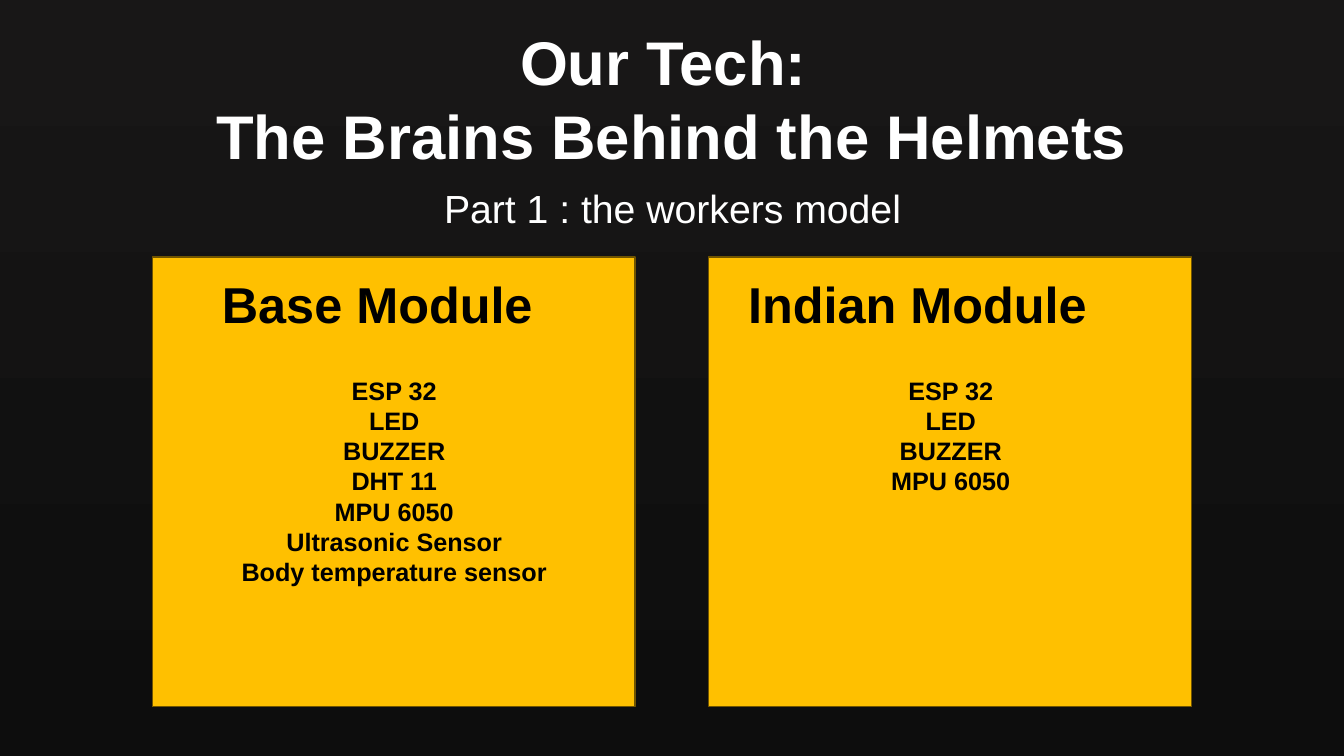
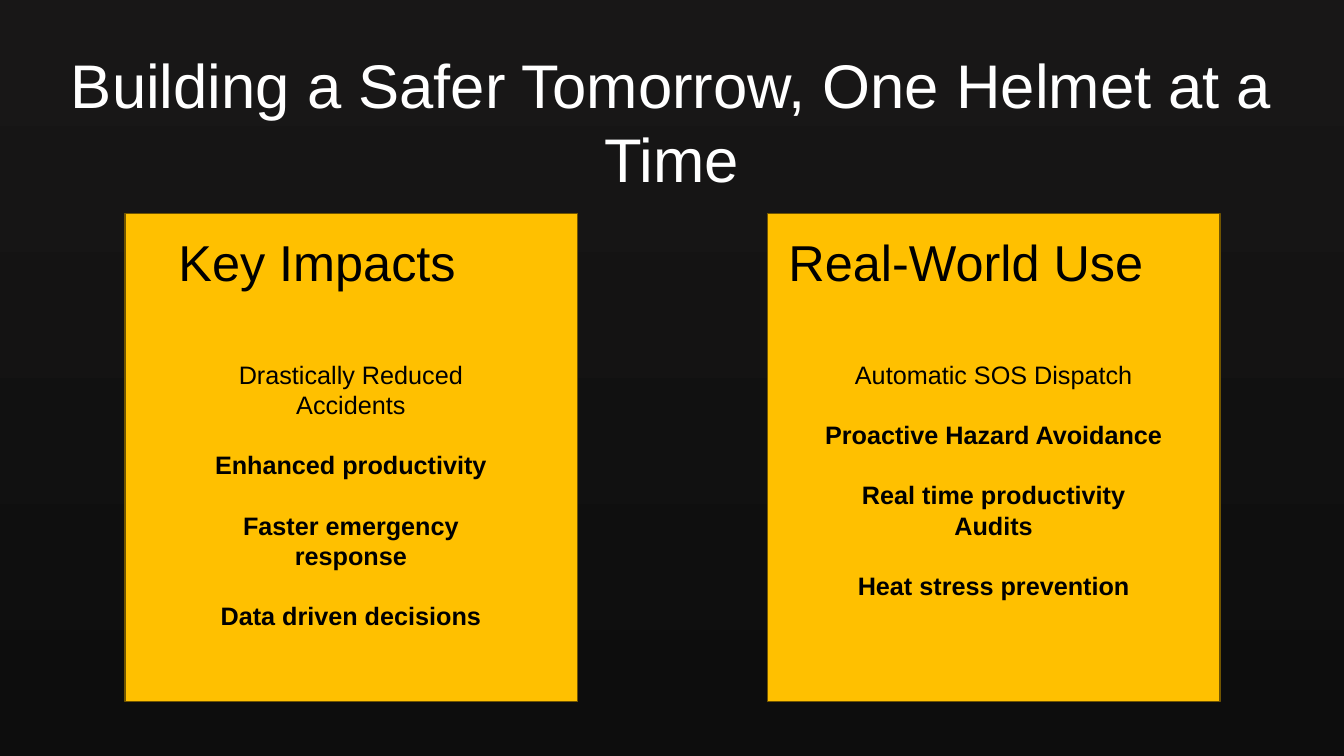
"""Build two helmet project slides with paired yellow cards."""
from dataclasses import dataclass
from typing import Any, Optional

from lxml.etree import SubElement
from pptx import Presentation
from pptx.dml.color import RGBColor
from pptx.enum.shapes import MSO_SHAPE
from pptx.enum.text import MSO_ANCHOR, MSO_AUTO_SIZE, PP_ALIGN
from pptx.oxml.ns import qn
from pptx.util import Pt

RECT = MSO_SHAPE.RECTANGLE
TOP = MSO_ANCHOR.TOP
FIXED = MSO_AUTO_SIZE.NONE
LEFT, CENTER = PP_ALIGN.LEFT, PP_ALIGN.CENTER
SCALE = 9144
WIDTH, HEIGHT = 1333, 750
PAIR = 4
FONT = "Arial"
COLORS = {
    "top": "181717",
    "base": "0D0D0D",
    "card": "FFC000",
    "edge": "705400",
    "light": "FFFFFF",
    "dark": "000000",
}


@dataclass(frozen=True)
class Box:
    """A place on the slide in px."""
    left: int
    top: int
    width: int
    height: int


@dataclass(frozen=True)
class Style:
    """The look of a block of text."""
    size: int
    color: str
    align: Any = CENTER
    gap: float = 0


@dataclass(frozen=True)
class Line:
    """One paragraph and its weight."""
    text: str
    bold: bool = False


@dataclass(frozen=True)
class Card:
    """A yellow card with a heading and a list."""
    box: Box
    head: Line
    head_box: Box
    items: list[Line]
    list_box: Box
    gap: float = 0


@dataclass(frozen=True)
class Page:
    """The content of one slide."""
    title: list[Line]
    title_box: Box
    cards: list[Card]
    sub: Optional[Line] = None


TITLE = Style(44, "light")
SUB = Style(28, "light")
HEAD = Style(36, "dark", LEFT)
SUB_BOX = Box(376, 178, 582, 57)
GAP = 21.6


def lines(bold: bool, *texts: str) -> list[Line]:
    """Give all texts the same weight."""
    return [Line(text, bold) for text in texts]


PAGES = [
    Page(
        lines(True, "Our Tech: ", "The Brains Behind the Helmets"),
        Box(0, 19, WIDTH, 158),
        [
            Card(
                Box(151, 255, 479, 446),
                Line("Base Module", True),
                Box(210, 266, 361, 71),
                lines(True, "ESP 32", "LED", "BUZZER", "DHT 11", "MPU 6050",
                      "Ultrasonic Sensor", "Body temperature sensor"),
                Box(220, 367, 342, 252),
            ),
            Card(
                Box(703, 255, 479, 446),
                Line("Indian Module", True),
                Box(732, 266, 422, 71),
                lines(True, "ESP 32", "LED", "BUZZER", "MPU 6050"),
                Box(782, 367, 322, 131),
            ),
        ],
        Line("Part 1 : the workers model"),
    ),
    Page(
        lines(False, "Building a Safer Tomorrow, One Helmet at a Time"),
        Box(12, 42, 1309, 158),
        [
            Card(
                Box(124, 212, 449, 484),
                Line("Key Impacts"),
                Box(167, 224, 361, 71),
                [Line("Drastically Reduced Accidents"),
                 *lines(True, "Enhanced productivity",
                        "Faster emergency response", "Data driven decisions")],
                Box(177, 351, 342, 283),
                GAP,
            ),
            Card(
                Box(761, 212, 449, 484),
                Line("Real-World Use"),
                Box(772, 224, 427, 71),
                [Line("Automatic SOS Dispatch"),
                 *lines(True, "Proactive Hazard Avoidance",
                        "Real time productivity Audits",
                        "Heat stress prevention")],
                Box(804, 351, 363, 283),
                GAP,
            ),
        ],
    ),
]


def shade(name: str) -> RGBColor:
    """Look up a colour by name."""
    return RGBColor.from_string(COLORS[name])


def emu(box: Box) -> tuple[int, int, int, int]:
    """Turn a box into EMU lengths."""
    return (box.left * SCALE, box.top * SCALE,
            box.width * SCALE, box.height * SCALE)


def write(shape: Any, box: Box, texts: list[Line], style: Style) -> None:
    """Place a text shape and fill it with plain paragraphs."""
    shape.left, shape.top, shape.width, shape.height = emu(box)
    frame = shape.text_frame
    frame.word_wrap = True
    frame.auto_size = FIXED
    frame.vertical_anchor = TOP
    frame.text = "\n".join(line.text for line in texts)
    for index, (para, line) in enumerate(zip(frame.paragraphs, texts)):
        props = para._p.get_or_add_pPr()
        props.set("marL", "0")
        props.set("indent", "0")
        SubElement(props, qn("a:buNone"))
        para.alignment = style.align
        para.space_before = Pt(style.gap if index else 0)
        font = para.font
        font.name = FONT
        font.size = Pt(style.size)
        font.bold = line.bold
        font.color.rgb = shade(style.color)


def panel(slide: Any, box: Box) -> None:
    """Draw a card panel behind the text."""
    shape = slide.shapes.add_shape(RECT, *emu(box))
    shape.shadow.inherit = False
    shape.fill.solid()
    shape.fill.fore_color.rgb = shade("card")
    shape.line.color.rgb = shade("edge")
    shape.line.width = Pt(1)
    slide.shapes.element.insert(2, shape.element)


def backdrop(master: Any) -> None:
    """Give the master its dark gradient."""
    fill = master.background.fill
    fill.gradient()
    fill.gradient_angle = 270
    for stop, name in zip(fill.gradient_stops, ("top", "base")):
        stop.color.rgb = shade(name)


def build(deck: Any, page: Page) -> None:
    """Add one slide to the deck."""
    slide = deck.slides.add_slide(deck.slide_layouts[PAIR])
    title, *slots = slide.placeholders
    write(title, page.title_box, page.title, TITLE)
    if page.sub:
        sub = slide.shapes.add_textbox(*emu(SUB_BOX))
        write(sub, SUB_BOX, [page.sub], SUB)
    for card, head, body in zip(page.cards, slots[::2], slots[1::2]):
        panel(slide, card.box)
        write(head, card.head_box, [card.head], HEAD)
        style = Style(18, "dark", gap=card.gap)
        write(body, card.list_box, card.items, style)


def main() -> None:
    """Make and save the deck."""
    deck = Presentation()
    deck.slide_width, deck.slide_height = WIDTH * SCALE, HEIGHT * SCALE
    backdrop(deck.slide_master)
    for page in PAGES:
        build(deck, page)
    deck.save("out.pptx")


if __name__ == "__main__":
    main()
